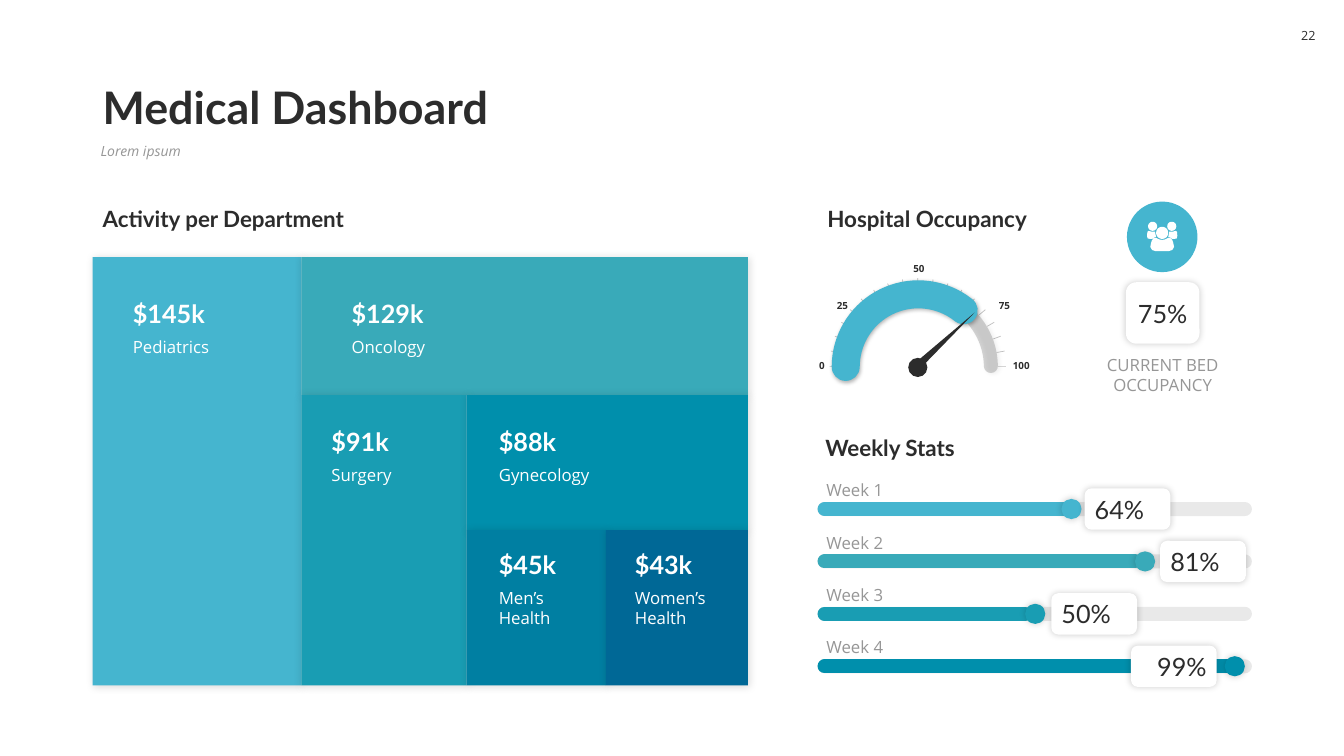
import math
from lxml import etree
from pptx import Presentation
from pptx.dml.color import RGBColor
from pptx.enum.shapes import MSO_CONNECTOR, MSO_SHAPE
from pptx.enum.text import MSO_ANCHOR, PP_ALIGN
from pptx.oxml.ns import qn
from pptx.util import Inches, Pt

CELL = Inches(0.1)
COLUMNS, ROWS = 133.33, 75
RECTANGLE, ROUNDED = MSO_SHAPE.RECTANGLE, MSO_SHAPE.ROUNDED_RECTANGLE
OVAL, ARC, TRIANGLE = MSO_SHAPE.OVAL, MSO_SHAPE.ARC, MSO_SHAPE.ISOSCELES_TRIANGLE
STRAIGHT = MSO_CONNECTOR.STRAIGHT
TOP, MIDDLE, BOTTOM = MSO_ANCHOR.TOP, MSO_ANCHOR.MIDDLE, MSO_ANCHOR.BOTTOM
LEFT, CENTER, RIGHT = PP_ALIGN.LEFT, PP_ALIGN.CENTER, PP_ALIGN.RIGHT
HEADING_FONT, BODY_FONT = "Lato", "Open Sans"
COLORS = {
    "white": "FFFFFF", "ink": "2C2C2C", "grey": "969696", "black": "000000",
    "sky": "45B5CF", "teal": "39AAB9", "lagoon": "199DB3",
    "ocean": "008FAC", "deep": "007FA2", "navy": "006896",
}
DEPARTMENTS = [
    ("$145k", "Pediatrics", "sky", (0, 0, 20.7, 42.5), (3, 3.6, 18.6)),
    ("$129k", "Oncology", "teal", (20.7, 0, 44.3, 13.7), (4, 3.6, 18.6)),
    ("$91k", "Surgery", "lagoon", (20.7, 13.7, 16.4, 28.8), (2, 2.6, 12.9)),
    ("$88k", "Gynecology", "ocean", (37.1, 13.7, 27.9, 13.4), (2.2, 2.6, 20.9)),
    ("$45k", "Men’s Health", "deep", (37.1, 27.1, 13.8, 15.4), (2.2, 1.4, 10.5)),
    ("$43k", "Women’s Health", "navy", (50.9, 27.1, 14.1, 15.4), (1.9, 1.4, 10.5)),
]
WEEKS = [
    ("Week 1", "64%", "sky", 25.1, 24.4, 26.7, LEFT),
    ("Week 2", "81%", "teal", 31.7, 31.7, 34.2, LEFT),
    ("Week 3", "50%", "lagoon", 20.8, 20.8, 23.4, LEFT),
    ("Week 4", "99%", "ocean", 41.8, 40.6, 31.3, RIGHT),
]
DIAL_LABELS = [
    ("0", (-0.9, 15.4, 2.6, 2.2), RIGHT), ("25", (0.9, 9.4, 3.1, 2.2), RIGHT),
    ("50", (8.5, 5.7, 3.1, 2.2), RIGHT), ("75", (17, 9.4, 3.1, 2.2), LEFT),
    ("100", (18.4, 15.4, 4.5, 2.2), LEFT),
]
HEADS = [(150, 110, 60), (55, 45, 45), (245, 45, 45)]
SIDE_BODY = [(90, 150), (70, 155), (50, 170), (30, 170), (5, 165), (0, 140),
             (3, 100), (15, 90), (40, 97), (80, 97), (82, 120)]
HALF_BODY = [(150, 180), (120, 175), (90, 160), (70, 160), (50, 180),
             (40, 210), (32, 250), (50, 280), (80, 290)]


def cells(*lengths):
    """Convert grid lengths to slide units."""
    return [round(length * CELL) for length in lengths]


def within(box, left, top, width, height):
    """Move a part into the box that holds it."""
    return box[0] + left, box[1] + top, width, height


def color(name):
    """Look up a colour by name."""
    return RGBColor.from_string(COLORS[name])


def add_alpha(color_element, percent):
    """Make a colour element partly transparent."""
    etree.SubElement(color_element, qn("a:alpha"), val=str(percent * 1000))


def add_shadow(shape, percent, blur, distance=0):
    """Give a shape a soft outer shadow."""
    shape.shadow.inherit = False
    effects = shape._element.spPr.find(qn("a:effectLst"))
    outer = etree.SubElement(effects, qn("a:outerShdw"), blurRad=str(Pt(blur)),
                             dist=str(Pt(distance)), dir="2700000", algn="tl",
                             rotWithShape="0")
    add_alpha(etree.SubElement(outer, qn("a:srgbClr"), val=COLORS["black"]), percent)


def style_line(item, name, width, percent=100, rounded=True):
    """Set the colour, width, opacity and cap of a line."""
    item.line.color.rgb = color(name)
    item.line.width = Pt(width)
    outline = item.line._get_or_add_ln()
    if rounded:
        outline.set("cap", "rnd")
    if percent < 100:
        add_alpha(outline.find(".//" + qn("a:srgbClr")), percent)


def add_stroke(slide, start, end, name, width, percent=100, rounded=True):
    """Draw a straight line between two grid points."""
    connector = slide.shapes.add_connector(STRAIGHT, *cells(*start, *end))
    style_line(connector, name, width, percent, rounded)
    etree.SubElement(connector._element.spPr, qn("a:effectLst"))


def add_block(slide, kind, box, fill, shadow=None):
    """Draw a filled preset shape without outline."""
    shape = slide.shapes.add_shape(kind, *cells(*box))
    shape.fill.solid()
    shape.fill.fore_color.rgb = color(fill)
    shape.line.fill.background()
    shape.shadow.inherit = False
    if shadow:
        add_shadow(shape, *shadow)
    return shape


def write(shape, text, size, font=BODY_FONT, name="ink", bold=False, italic=False,
          align=LEFT, anchor=TOP, wrap=True, side=1.0, spacing=None):
    """Put one styled run of text into a shape."""
    frame = shape.text_frame
    frame.word_wrap = wrap
    frame.vertical_anchor = anchor
    frame.margin_left, frame.margin_right = cells(side, side)
    frame.margin_top, frame.margin_bottom = cells(0.5, 0.5)
    paragraph = frame.paragraphs[0]
    paragraph.alignment = align
    if spacing:
        paragraph.line_spacing = spacing
    run = paragraph.add_run()
    run.text = text
    run.font.name, run.font.size = font, Pt(size)
    run.font.bold, run.font.italic = bold, italic
    run.font.color.rgb = color(name)


def add_text(slide, box, text, size, **style):
    """Add a text box."""
    write(slide.shapes.add_textbox(*cells(*box)), text, size, **style)


def add_heading(slide, box, text):
    """Add a region heading at the top of its box."""
    add_text(slide, within(box, 0, 0, 43.4, 3.7), text, 16,
             font=HEADING_FONT, bold=True, anchor=BOTTOM)


def add_tag(slide, box, text, align, side):
    """Add a white rounded value tag."""
    tag = add_block(slide, ROUNDED, box, "white", (20, 5))
    write(tag, text, 18, font=HEADING_FONT, align=align, anchor=MIDDLE, side=side)


def add_header(slide, box):
    """Add the title, subtitle and page number."""
    add_text(slide, within(box, 9.2, 5.8, 115, 8), "Medical Dashboard", 32,
             font=HEADING_FONT, bold=True, anchor=BOTTOM, spacing=0.9)
    add_text(slide, within(box, 9, 13.8, 115.2, 3.6), "Lorem ipsum", 10,
             name="grey", italic=True, spacing=0.9)
    add_text(slide, within(box, 128, 1.8, 3.6, 3.5), "22", 9,
             align=CENTER, anchor=MIDDLE, wrap=False, side=0)


def add_departments(slide, box):
    """Add the treemap of activity per department."""
    add_heading(slide, box, "Activity per Department")
    chart = within(box, 0, 5.7, 65, 42.5)
    for value, label, fill, area, (left, top, width) in DEPARTMENTS:
        tile = within(chart, *area)
        add_block(slide, RECTANGLE, tile, fill, (15, 6, 1))
        add_text(slide, within(tile, left, top, width, 4), value, 18,
                 font=HEADING_FONT, name="white", bold=True, anchor=BOTTOM)
        add_text(slide, within(tile, left, top + 3.85, width, 5), label, 12, name="white")


def add_arc(slide, box, end, name, width, percent=100):
    """Draw a dial arc from the left side to an angle in degrees."""
    arc = slide.shapes.add_shape(ARC, *cells(*box))
    arc.adjustments[0], arc.adjustments[1] = 180 * 0.6, end * 0.6
    arc.fill.background()
    style_line(arc, name, width, percent)
    add_shadow(arc, 30, 3, 1)


def add_gauge(slide, box):
    """Add the occupancy dial with ticks, labels and needle."""
    add_heading(slide, box, "Hospital Occupancy")
    dial = within(box, 2.8, 9.4, 14.4, 14.4)
    add_arc(slide, dial, 359.3, "ink", 10, 20)
    center_x, center_y = box[0] + 9.95, box[1] + 16.55
    for step in range(19):
        angle = math.radians(step * 10)
        inner, outer = [(center_x - radius * math.cos(angle),
                         center_y - radius * math.sin(angle)) for radius in (7.95, 8.75)]
        add_stroke(slide, outer, inner, "ink", 0.5, 30, False)
    for text, area, align in DIAL_LABELS:
        add_text(slide, within(box, *area), text, 7, bold=True, align=align,
                 anchor=BOTTOM if text == "50" else MIDDLE, wrap=False)
    add_arc(slide, dial, 308.7, "sky", 20)
    add_block(slide, OVAL, within(box, 9, 15.7, 1.9, 1.9), "ink")
    needle = add_block(slide, TRIANGLE, within(box, 12.2, 9.9, 0.8, 8.2), "ink")
    needle.rotation = 47


def mirror(points):
    """Reflect icon points across the icon's middle."""
    return [(300 - x, y) for x, y in reversed(points)]


def add_people_icon(slide, box):
    """Draw three people as one outline on a 300-unit-wide grid."""
    contours = [SIDE_BODY, mirror(SIDE_BODY), HALF_BODY + mirror(HALF_BODY)]
    for x, y, radius in HEADS:
        turns = [math.radians(step * 10) for step in range(36)]
        contours.append([(x + radius * math.cos(turn), y + radius * math.sin(turn))
                         for turn in turns])
    left, top, width = cells(*box[:3])
    builder = slide.shapes.build_freeform(*contours[0][0], scale=width / 300)
    for contour in contours:
        builder.move_to(*contour[0])
        builder.add_line_segments(contour[1:], close=True)
    icon = builder.convert_to_shape(left, top)
    icon.fill.solid()
    icon.fill.fore_color.rgb = color("white")
    icon.line.fill.background()
    icon.shadow.inherit = False


def add_bed_occupancy(slide, box):
    """Add the icon, value and caption of bed occupancy."""
    add_tag(slide, within(box, 3.7, 8, 7.3, 6.1), "75%", CENTER, 0)
    add_text(slide, within(box, 0, 14.7, 14.7, 5), "CURRENT BED OCCUPANCY", 12,
             name="grey", align=CENTER, side=0.4)
    add_block(slide, OVAL, within(box, 3.8, 0, 7, 7), "sky")
    add_people_icon(slide, within(box, 5.8, 2, 3, 2.9))


def add_weekly_stats(slide, box):
    """Add one progress bar for each week."""
    add_heading(slide, box, "Weekly Stats")
    for index, (week, value, fill, end, dot, tag, align) in enumerate(WEEKS):
        row = within(box, 0, 4.6 + 5.2 * index, 43.4, 5.2)
        add_text(slide, within(row, 0.1, 0, 19.4, 3), week, 12, name="grey", anchor=BOTTOM)
        left, middle = row[0] + 0.9, row[1] + 3.4
        add_stroke(slide, (left, middle), (left + 41.7, middle), "ink", 10, 10)
        add_stroke(slide, (left, middle), (row[0] + end, middle), fill, 10)
        add_block(slide, OVAL, within(row, dot, 2.4, 2, 2), fill, (20, 5))
        add_tag(slide, within(row, tag, 1.35, 8.5, 4.1), value, align, 0.8)


def main():
    """Build and save the dashboard slide."""
    presentation = Presentation()
    presentation.slide_width, presentation.slide_height = cells(COLUMNS, ROWS)
    slide = presentation.slides.add_slide(presentation.slide_layouts[6])
    add_header(slide, (0, 0, COLUMNS, ROWS))
    add_departments(slide, (9.2, 19.8, 65, 48.2))
    add_gauge(slide, (81.1, 19.8, 23, 18))
    add_bed_occupancy(slide, (108, 20, 14.7, 19.7))
    add_weekly_stats(slide, (80.9, 42.5, 43.4, 26))
    presentation.save("out.pptx")


if __name__ == "__main__":
    main()
